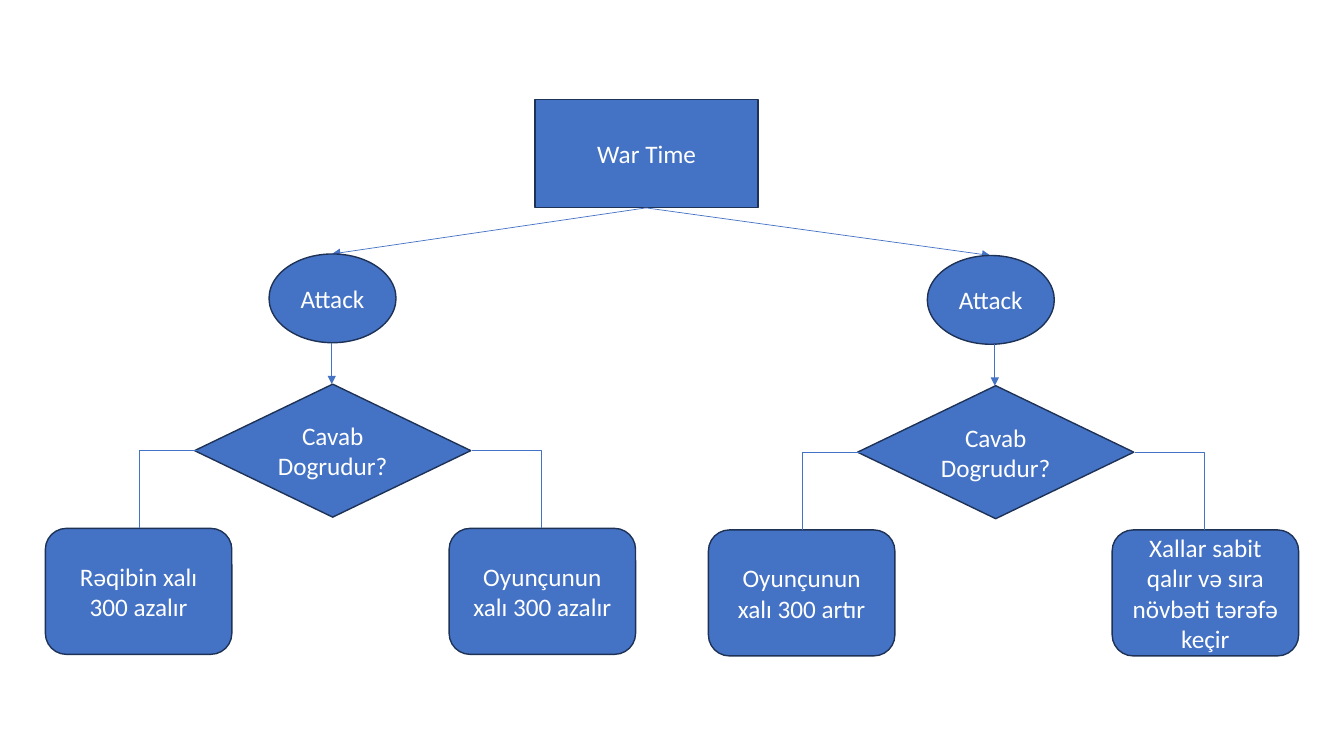
from dataclasses import dataclass
from typing import NamedTuple

from lxml.etree import SubElement
from pptx import Presentation
from pptx.dml.color import RGBColor
from pptx.enum.shapes import MSO_CONNECTOR, MSO_SHAPE
from pptx.enum.text import MSO_ANCHOR, PP_ALIGN
from pptx.oxml.ns import qn
from pptx.util import Pt


@dataclass(frozen=True)
class Theme:
    fill: RGBColor = RGBColor(0x44, 0x72, 0xC4)
    edge: RGBColor = RGBColor(0x1E, 0x32, 0x56)
    text: RGBColor = RGBColor(0xFF, 0xFF, 0xFF)
    font: str = "Calibri"
    size: float = 18
    rim: float = 1
    wire: float = 0.5


class Node(NamedTuple):
    kind: MSO_SHAPE
    left: float
    top: float
    width: float
    height: float
    text: str


class Link(NamedTuple):
    start: tuple[float, float]
    end: tuple[float, float]
    bent: bool = False


class Branch(NamedTuple):
    dx: float  # shift of the question and its answers
    oval: float  # shift of the attack oval
    dy: float
    yes: str
    no: str


THEME = Theme()
FONT = {"name": THEME.font, "size": Pt(THEME.size)}
FRAME = {"word_wrap": True, "vertical_anchor": MSO_ANCHOR.MIDDLE}
ROOT = Node(MSO_SHAPE.RECTANGLE, 382.3, 71.3, 159.2, 77, "War Time")
FORK = (461.5, 148.5)
BRANCHES = (
    Branch(0, 0, 0, "Rəqibin xalı 300 azalır", "Oyunçunun xalı 300 azalır"),
    Branch(473.6, 470.2, 1.1, "Oyunçunun xalı 300 artır",
           "Xallar sabit qalır və sıra növbəti tərəfə keçir"),
)


def style(target: object, values: dict) -> None:
    for key, value in values.items():
        setattr(target, key, value)


def draw_node(slide, node: Node) -> None:
    shape = slide.shapes.add_shape(
        node.kind, *map(Pt, (node.left, node.top, node.width, node.height)))
    shape.shadow.inherit = False
    shape.fill.solid()
    shape.fill.fore_color.rgb = THEME.fill
    shape.line.color.rgb = THEME.edge
    shape.line.width = Pt(THEME.rim)
    style(shape.text_frame, FRAME)
    para = shape.text_frame.paragraphs[0]
    para.alignment = PP_ALIGN.CENTER
    run = para.add_run()
    run.text = node.text
    style(run.font, FONT)
    run.font.color.rgb = THEME.text


def draw_link(slide, link: Link) -> None:
    kind = MSO_CONNECTOR.ELBOW if link.bent else MSO_CONNECTOR.STRAIGHT
    wire = slide.shapes.add_connector(kind, *map(Pt, link.start + link.end))
    wire.line.color.rgb = THEME.fill
    wire.line.width = Pt(THEME.wire)
    props = wire._element.spPr
    if link.bent:  # a single corner
        props.find(qn("a:prstGeom")).set("prst", "bentConnector2")
    else:
        SubElement(props.find(qn("a:ln")), qn("a:tailEnd"), type="triangle")
    SubElement(props, qn("a:effectLst"))


def draw_branch(slide, part: Branch) -> None:
    dx, dy = part.dx, part.dy
    mid, low = 321.8 + dy, 377.4 + dy

    # Attack
    draw_link(slide, Link(FORK, (237.2 + part.oval, 181.4 + dy)))
    draw_node(slide, Node(MSO_SHAPE.OVAL, 192.2 + part.oval, 181.4 + dy,
                          90.7, 63.4, "Attack"))

    # Question
    draw_link(slide, Link((237 + dx, 244.8 + dy), (237 + dx, 274.4 + dy)))
    draw_node(slide, Node(MSO_SHAPE.DIAMOND, 139 + dx, 274.4 + dy,
                          197.3, 95, "Cavab Dogrudur?"))

    # Answers
    for text, left, start, end in ((part.yes, 32.4, 149, 99.3),
                                   (part.no, 320.8, 337, 386.7)):
        draw_node(slide, Node(MSO_SHAPE.ROUNDED_RECTANGLE, left + dx, low,
                              133.2, 90, text))
        draw_link(slide, Link((start + dx, mid), (end + dx, low), True))


def main() -> None:
    deck = Presentation()
    style(deck, {"slide_width": Pt(960), "slide_height": Pt(540)})
    slide = deck.slides.add_slide(deck.slide_layouts[6])
    draw_node(slide, ROOT)
    for part in BRANCHES:
        draw_branch(slide, part)
    deck.save("out.pptx")


if __name__ == "__main__":
    main()
